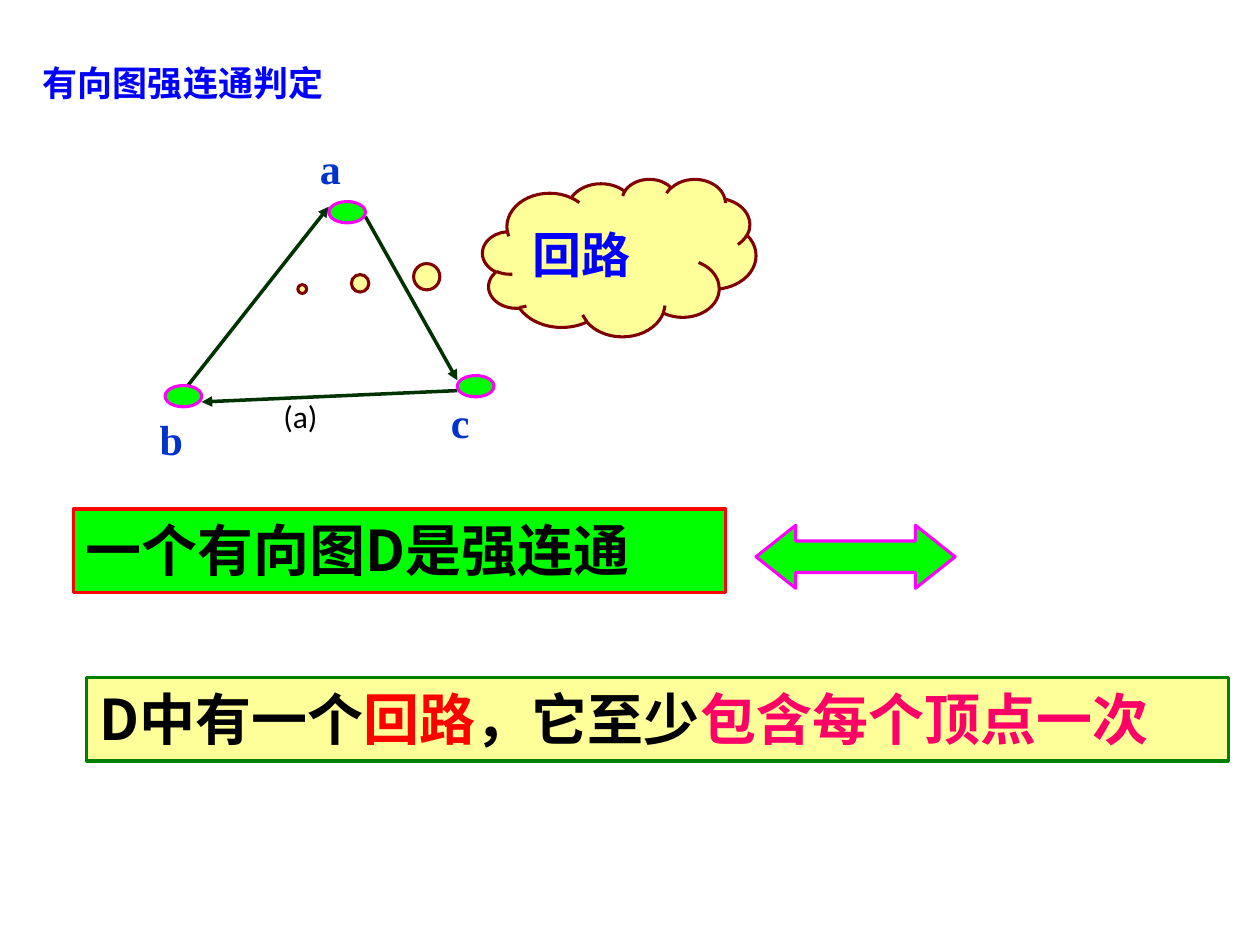
from lxml import etree
from pptx import Presentation
from pptx.dml.color import RGBColor
from pptx.enum import shapes, text
from pptx.oxml import ns
from pptx.util import Pt

SANS, SERIF, LATIN = "Noto Sans CJK SC", "Times New Roman", "Calibri"
MS = shapes.MSO_SHAPE
TOP, MIDDLE = text.MSO_ANCHOR.TOP, text.MSO_ANCHOR.MIDDLE
NODE_W, NODE_H = 20.9, 12.2

TITLE = ("有向图强连通判定", (17.3, 31.7, 198.7, 31))
NODES = [(198.4, 121.3), (271.8, 220.7), (104.8, 226.4)]
EDGES = [
    (105.1, 223.2, 187.9, 118.1),
    (261.4, 223.2, 115.2, 229.7),
    (208.8, 123.8, 261.4, 217.4),
]
LABELS = [
    ("a", (175.7, 77.8, 45.4, 37.4), SERIF, 24, "0033CC", True),
    ("b", (84.2, 232.6, 48.2, 37.4), SERIF, 24, "0033CC", True),
    ("c", (250.6, 223.2, 43.2, 37.4), SERIF, 24, "0033CC", True),
    ("(a)", (154.8, 223.2, 62.6, 29.5), LATIN, 18, "000000", False),
]
FIGURES = [
    dict(kind=MS.CLOUD_CALLOUT, box=(275.8, 102.2, 156.2, 90), fill="FFFF99",
         line="800000", adj=(-1.16, 0.2), size=28, anchor=MIDDLE,
         runs=[("回路", "0000FF")]),
    dict(kind=MS.RECTANGLE, box=(41.8, 290.9, 373, 47.5), fill="00FF00",
         line="FF0000", size=32, anchor=TOP,
         runs=[("一个有向图D是强连通", "000000")]),
    dict(kind=MS.LEFT_RIGHT_ARROW, box=(432, 300.2, 113.8, 36),
         fill="00FF00", line="FF00FF", adj=(0.5, 0.63)),
    dict(kind=MS.RECTANGLE, box=(49.7, 387.4, 652.3, 47.5), fill="FFFF99",
         line="008000", size=32, anchor=TOP,
         runs=[("D中有一个", "000000"), ("回路", "FF0000"),
               ("，它至少", "000000"), ("包含每个顶点一次", "FF0066")]),
]


def rgb(value):
    return RGBColor.from_string(value)


def write(sp, runs, name, size, bold=True, anchor=TOP):
    tf = sp.text_frame
    tf.word_wrap = True
    tf.vertical_anchor = anchor
    p = tf.paragraphs[0]
    p.alignment = text.PP_ALIGN.LEFT
    for words, color in runs:
        r = p.add_run()
        r.text = words
        for key, value in dict(name=name, size=Pt(size), bold=bold).items():
            setattr(r.font, key, value)
        r.font.color.rgb = rgb(color)
        ea = etree.SubElement(r.font._element, ns.qn("a:ea"))
        ea.set("typeface", name)


def add_figure(s, kind, box, fill, line, adj=()):
    sp = s.shapes.add_shape(kind, *map(Pt, box))
    sp.shadow.inherit = False
    sp.fill.solid()
    sp.fill.fore_color.rgb = rgb(fill)
    sp.line.color.rgb = rgb(line)
    sp.line.width = Pt(1.75)
    for i, value in enumerate(adj):
        sp.adjustments[i] = value
    return sp


def add_edge(s, ends):
    edge = s.shapes.add_connector(shapes.MSO_CONNECTOR.STRAIGHT, *map(Pt, ends))
    edge.line.color.rgb = rgb("003300")
    edge.line.width = Pt(2)
    tail = etree.SubElement(edge.line._get_or_add_ln(), ns.qn("a:tailEnd"))
    tail.set("type", "triangle")
    etree.SubElement(edge._element.spPr, ns.qn("a:effectLst"))


def main():
    prs = Presentation()
    prs.slide_width, prs.slide_height = Pt(720), Pt(540)
    s = prs.slides.add_slide(prs.slide_layouts[5])

    title = s.shapes.title
    words, box = TITLE
    title.left, title.top, title.width, title.height = map(Pt, box)
    write(title, [(words, "0000FF")], SANS, 20)

    for words, box, name, size, color, bold in LABELS:
        label = s.shapes.add_textbox(*map(Pt, box))
        write(label, [(words, color)], name, size, bold)
    for ends in EDGES:
        add_edge(s, ends)
    for x, y in NODES:
        box = (x - NODE_W / 2, y - NODE_H / 2, NODE_W, NODE_H)
        add_figure(s, MS.OVAL, box, "00FF00", "FF00FF")
    for f in FIGURES:
        sp = add_figure(s, f["kind"], f["box"], f["fill"], f["line"],
                        f.get("adj", ()))
        if "runs" in f:
            write(sp, f["runs"], SANS, f["size"], anchor=f["anchor"])

    prs.save("out.pptx")


if __name__ == "__main__":
    main()
